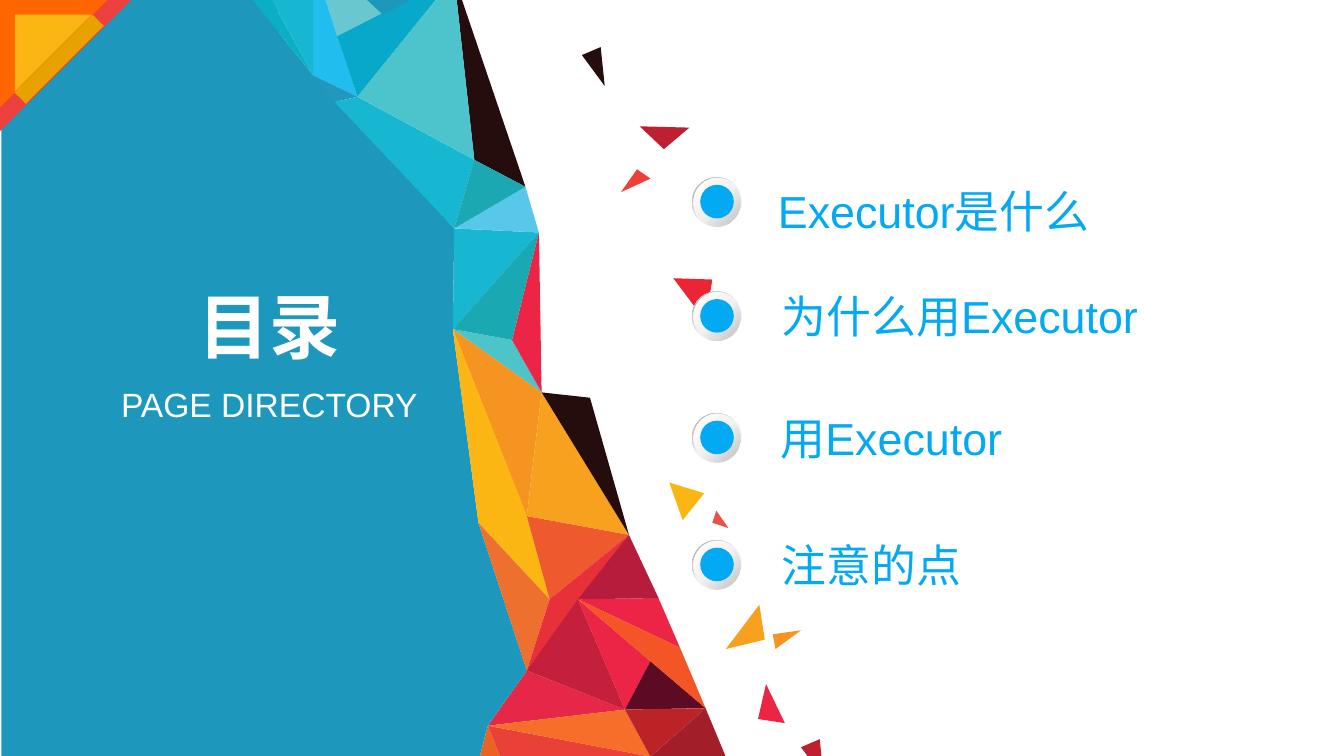
from copy import deepcopy
from dataclasses import dataclass

from pptx import Presentation
from pptx import util as u
from pptx.dml import color
from pptx.enum import shapes, text

COLUMNS, ROWS = 1000, 562.5
CELL = u.Inches(10) // COLUMNS


@dataclass(frozen=True)
class Theme:
    font: str = "Arial"
    panel: str = "1D97BC"
    accent: str = "03A9F3"
    light: str = "FFFFFF"
    corner_edge: str = "EE403F"
    corner: str = "FF6600"
    corner_core: str = "FBB614"
    corner_band: str = "E7A200"
    rim: tuple = ("FFFFFF", "F2F2F2", "A6A6A6")
    button: tuple = ("FFFFFF", "F2F2F2", "BFBFBF")
    title_size: int = 38
    subtitle_size: int = 18
    entry_size: int = 24


THEME = Theme()

MESH = dict(
    A=(233, 56), B=(202, 0), C=(188, 0), D=(233, 0), E=(266, 72),
    F=(251, 27), G=(285, 11), H=(265, -10), I=(338, -17), J=(353, 119),
    K=(391, 139), L=(338, 170), M=(401, 173), N=(337, 245), O=(403, 292),
    P=(381, 253), Q=(392, 384), R=(356, 389), S=(409, 446), T=(468, 398),
    U=(439, 296), V=(392, 499), W=(430, 446), X=(490, 445), Y=(525, 527),
    Z=(465, 528), a=(363, 540), b=(357, 563), c=(484, 563), d=(249, 76),
    e=(484, 492), f=(540, 563), g=(304, 0), h=(241, -4), i=(188, 563),
    j=(372, 563), k=(271, -2), m=(313, -4), n=(506, 482),
)

FACETS = [
    ("EC2546", "WZe"), ("5D0B24", "ZYe"), ("260D0D", "IKJ"),
    ("A21F29", "Yfc"), ("EC2546", "WnX"), ("E94138", "ajc"),
    ("E72748", "VaZ"), ("4DC5C8", "NPO"), ("17B7D1", "LMN"),
    ("57C8EA", "LKM"), ("EB6323", "abj"), ("21BDEE", "DhEA"),
    (THEME.panel, "CALNRVabi"), ("0AAEC5", "CBA"), ("17B7D1", "BDA"),
    ("2198BC", "AEd"), ("17B7D1", "EJLd"), ("1BA8B2", "JKL"),
    ("69C7CF", "hHGF"), ("08A8CA", "FEIg"), ("EC2546", "MPO"),
    ("4DC4CC", "IJE"), ("1AA8B2", "MPN"), ("F59421", "NOQ"),
    ("FBB614", "NRSQ"), ("F8A11E", "OQT"), ("250D0D", "OUT"),
    ("EE592E", "QST"), ("ED702E", "RSV"), ("E73039", "STV"),
    ("B71C3C", "WXT"), ("C41F3D", "WZV"), ("F45526", "WYn"),
    ("F66E29", "aZc"), ("BC2326", "ZYc"), (THEME.panel, "kGm"),
]

SHARDS = [
    ("EE4037", (474, 126), (462, 143), (484, 133)),
    ("EB2534", (501, 207), (530, 208), (525, 239)),
    ("BE1F31", (476, 94), (513, 95), (494, 111)),
    ("FBB614", (498, 359), (524, 367), (508, 387)),
    ("F8A11E", (565, 450), (540, 483), (569, 476)),
    ("EC2546", (570, 509), (564, 535), (584, 538)),
    ("F59421", (575, 472), (596, 469), (577, 483)),
    ("EA5248", (533, 380), (542, 393), (530, 389)),
]
SLIVER = ((14, 0), (0, 6), (17, 29))
SLIVER_PLACES = [("260D0D", 433, 35), ("BE1F31", 596, 550)]

ENTRIES = [
    ("Executor是什么", 569, 132, 132),
    ("为什么用Executor", 572, 210, 217),
    ("用Executor", 571, 301, 307.5),
    ("注意的点", 572, 395, 402),
]


def grid(*lengths):
    return [u.Emu(round(length * CELL)) for length in lengths]


def paint(shape, fill):
    shape.fill.solid()
    shape.fill.fore_color.rgb = color.RGBColor.from_string(fill)
    shape.line.fill.background()
    shape.shadow.inherit = False


def shade(shape, tones, angle):
    shape.fill.gradient()
    shape.fill.gradient_angle = angle
    last = shape.fill.gradient_stops[-1]._gs
    last.addprevious(deepcopy(last))
    for index, (stop, tone) in enumerate(zip(shape.fill.gradient_stops, tones)):
        stop.position = index / 2
        stop.color.rgb = color.RGBColor.from_string(tone)
    shape.line.fill.background()
    shape.shadow.inherit = False


def add_facet(slide, fill, start, *corners):
    builder = slide.shapes.build_freeform(*start, scale=CELL)
    builder.add_line_segments(corners, close=True)
    paint(builder.convert_to_shape(), fill)


def add_mosaic(slide):
    for fill, corners in FACETS:
        add_facet(slide, fill, *(MESH[corner] for corner in corners))
    for shard in SHARDS:
        add_facet(slide, *shard)
    for fill, left, top in SLIVER_PLACES:
        add_facet(slide, fill, *((left + x, top + y) for x, y in SLIVER))


def add_block(slide, kind, box, fill, rotation=0):
    block = slide.shapes.add_shape(kind, *grid(*box))
    block.rotation = rotation
    paint(block, fill)


def add_corner(slide):
    triangle = shapes.MSO_SHAPE.RIGHT_TRIANGLE
    for offset, side, fill in ((0, 97.5, THEME.corner_edge),
                               (0, 80, THEME.corner),
                               (11, 57, THEME.corner_core)):
        add_block(slide, triangle, (offset, offset, side, side), fill, 90)
    add_block(slide, shapes.MSO_SHAPE.RECTANGLE, (38, 3, 12, 82),
              THEME.corner_band, 45)


def add_bullet(slide, top):
    parts = slide.shapes.add_group_shape().shapes
    oval = shapes.MSO_SHAPE.OVAL
    rim = parts.add_shape(shapes.MSO_SHAPE.DONUT, *grid(515, top, 37, 37))
    rim.adjustments[0] = 0.05
    shade(rim, THEME.rim, 135)
    shade(parts.add_shape(oval, *grid(516, top + 0.5, 35, 36)),
          THEME.button, 315)
    paint(parts.add_shape(oval, *grid(521, top + 5.5, 25, 25)), THEME.accent)


def write(holder, words, box, size, tone, bold=False, centred=False):
    holder.left, holder.top, holder.width, holder.height = grid(*box)
    frame = holder.text_frame
    frame.text = words
    frame.word_wrap = not centred
    frame.auto_size = text.MSO_AUTO_SIZE.SHAPE_TO_FIT_TEXT
    frame.vertical_anchor = text.MSO_ANCHOR.TOP
    line = frame.paragraphs[0]
    line.alignment = text.PP_ALIGN.CENTER if centred else text.PP_ALIGN.LEFT
    font = line.runs[0].font
    font.name, font.size, font.bold = THEME.font, u.Pt(size), bold
    font.color.rgb = color.RGBColor.from_string(tone)


def add_words(slide, words, box, size, tone, centred=False):
    holder = slide.shapes.add_textbox(*grid(*box))
    write(holder, words, box, size, tone, centred=centred)


def main():
    deck = Presentation()
    deck.slide_width, deck.slide_height = grid(COLUMNS, ROWS)
    slide = deck.slides.add_slide(deck.slide_layouts[5])

    add_block(slide, shapes.MSO_SHAPE.RECTANGLE, (1, 0, 206, ROWS), THEME.panel)
    add_mosaic(slide)
    add_corner(slide)

    for words, left, top, bullet_top in ENTRIES:
        add_words(slide, words, (left, top, 400, 50),
                  THEME.entry_size, THEME.accent)
        add_bullet(slide, bullet_top)

    title = slide.shapes.title
    write(title, "目录", (137, 205, 127, 74), THEME.title_size, THEME.light,
          bold=True, centred=True)
    slide.shapes.element.append(title.element)
    add_words(slide, "PAGE DIRECTORY", (79, 281, 243, 40),
              THEME.subtitle_size, THEME.light, centred=True)
    deck.save("out.pptx")


if __name__ == "__main__":
    main()
